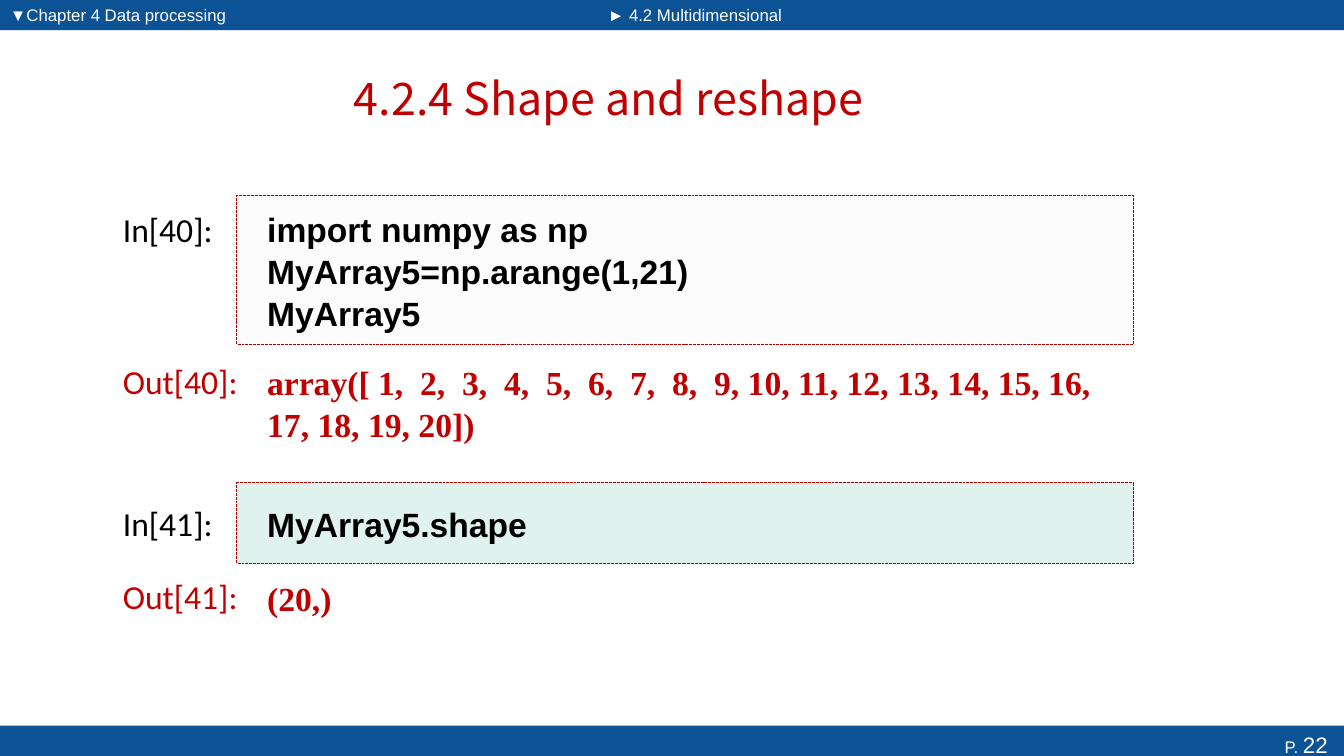
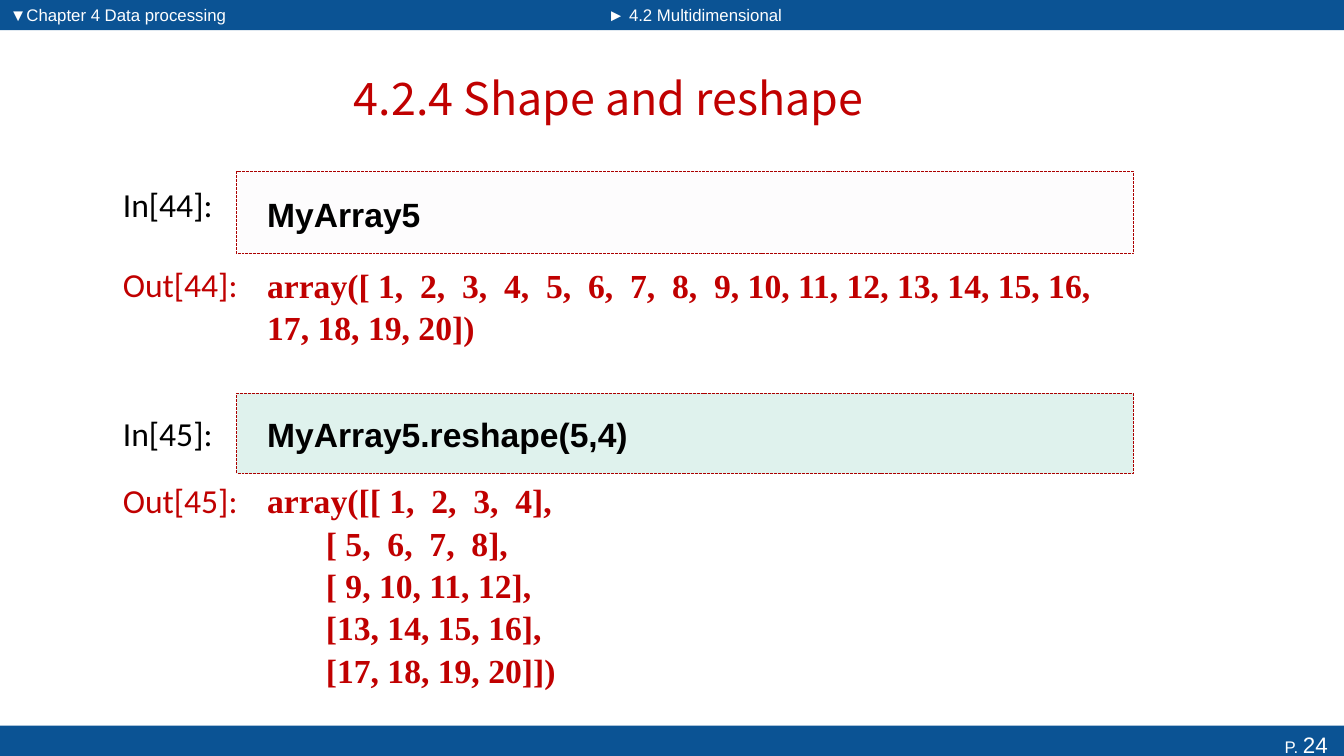
from lxml.etree import SubElement
from pptx import Presentation
from pptx.dml.color import RGBColor
from pptx.enum.dml import MSO_LINE
from pptx.enum.shapes import MSO_SHAPE
from pptx.enum.text import MSO_ANCHOR, PP_ALIGN
from pptx.oxml.ns import qn
from pptx.util import Pt

PX = 9144
WIDE, HIGH = 1333, 750
BLUE, RED, BLACK, WHITE = "0B5394", "C00000", "000000", "FFFFFF"
PALE, MINT, EDGE = "F1EEF4", "0C9B74", "AB0000"

STYLES = {
    "title": ({"name": "Noto Sans CJK SC", "size": Pt(32)}, RED),
    "band": ({"name": "Arial", "size": Pt(12)}, WHITE),
    "page": ({"name": "Arial", "size": Pt(16)}, WHITE),
    "in": ({"name": "Calibri", "size": Pt(24)}, BLACK),
    "out": ({"name": "Calibri", "size": Pt(24)}, RED),
    "code": ({"name": "Arial", "size": Pt(24), "bold": True}, BLACK),
    "result": ({"name": "Times New Roman", "size": Pt(24), "bold": True}, RED),
}
PLAIN = {"word_wrap": False, "vertical_anchor": MSO_ANCHOR.TOP}
MIDDLE = {"word_wrap": True, "vertical_anchor": MSO_ANCHOR.MIDDLE}
INSET = {**MIDDLE, "margin_left": 30 * PX}
RIGHT = {**PLAIN, "margin_right": 16 * PX}


def color(text):
    return RGBColor.from_string(text)


def apply(item, values):
    for name, value in values.items():
        setattr(item, name, value)


def scale(box):
    return [side * PX for side in box]


def style(font, key):
    values, tone = STYLES[key]
    apply(font, values)
    font.color.rgb = color(tone)


def write(shape, lines, frame, align=PP_ALIGN.LEFT, gap=1.0):
    body = shape.text_frame
    apply(body, frame)
    for index, runs in enumerate(lines):
        para = body.add_paragraph() if index else body.paragraphs[0]
        apply(para, {"alignment": align, "line_spacing": gap})
        for text, key in runs:
            run = para.add_run()
            run.text = text
            style(run.font, key)


def label(slide, box, text, key, frame=PLAIN, align=PP_ALIGN.LEFT):
    write(slide.shapes.add_textbox(*scale(box)), [[(text, key)]], frame, align)


def block(slide, box, fill):
    shape = slide.shapes.add_shape(MSO_SHAPE.RECTANGLE, *scale(box))
    shape.shadow.inherit = False
    shape.fill.solid()
    shape.fill.fore_color.rgb = color(fill)
    shape.line.fill.background()
    return shape


def tint(shape, share):
    tone = shape._element.spPr.find(qn("a:solidFill"))[0]
    SubElement(tone, qn("a:alpha"), val=str(share * 1000))


def header(slide, box, parts):
    left, top, width, height = box
    split = left + 593
    spans = (left, split - left), (split, left + width - split)
    for (start, span), text in zip(spans, parts):
        area = start, top, span, height
        block(slide, area, BLUE)
        label(slide, area, text, "band")


def footer(slide, box, page):
    runs = [("P. ", "band"), (str(page), "page")]
    write(block(slide, box, BLUE), [runs], RIGHT, PP_ALIGN.RIGHT)


def source(slide, box, count, lines, fill, drop):
    left, top, width, height = box
    label(slide, (left, top + drop, 135, 50), f"In[{count}]:", "in")
    shape = block(slide, (left + 123, top, width - 123, height), fill)
    tint(shape, 13)
    shape.line.color.rgb = color(EDGE)
    apply(shape.line, {"width": Pt(0.7), "dash_style": MSO_LINE.SQUARE_DOT})
    write(shape, [[(line, "code")] for line in lines], INSET, gap=1.05)


def result(slide, box, count, lines, drop):
    left, top, width, height = box
    label(slide, (left, top + drop, 154, 50), f"Out[{count}]:", "out")
    shape = slide.shapes.add_textbox(*scale((left + 123, top, width - 138, height)))
    write(shape, [[(line, "result")] for line in lines], INSET, gap=1.05)


def build(deck, page, cells):
    slide = deck.slides.add_slide(deck.slide_layouts[6])
    header(slide, (0, 0, WIDE, 30),
           ("▼Chapter 4 Data processing", "► 4.2 Multidimensional"))
    footer(slide, (0, 720, WIDE, HIGH - 720), page)
    label(slide, (68, 52, 1072, 90), "4.2.4 Shape and reshape", "title",
          MIDDLE, PP_ALIGN.CENTER)
    looks = (PALE, 8), (MINT, 15)
    for (count, code, place, answer, spot, drop), (fill, dip) in zip(cells, looks):
        source(slide, (112, place[0], 1012, place[1]), count, code, fill, dip)
        result(slide, (112, spot[0], 1012, spot[1]), count, answer, drop)


FLAT = ["array([ 1,  2,  3,  4,  5,  6,  7,  8,  9, 10, 11, 12, 13, 14, 15, 16, "
        "17, 18, 19, 20])"]
GRID = [
    "array([[ 1,  2,  3,  4],",
    "       [ 5,  6,  7,  8],",
    "       [ 9, 10, 11, 12],",
    "       [13, 14, 15, 16],",
    "       [17, 18, 19, 20]])",
]
FIRST = ["import numpy as np", "MyArray5=np.arange(1,21)", "MyArray5"]
PAGES = {
    22: [
        (40, FIRST, (194, 148), FLAT, (344, 109), 9),
        (41, ["MyArray5.shape"], (479, 80), ["(20,)"], (550, 85), 16),
    ],
    24: [
        (44, ["MyArray5"], (170, 82), FLAT, (247, 111), 10),
        (45, ["MyArray5.reshape(5,4)"], (390, 80), GRID, (453, 253), 18),
    ],
}


def main():
    deck = Presentation()
    apply(deck, {"slide_width": WIDE * PX, "slide_height": HIGH * PX})
    for page, cells in PAGES.items():
        build(deck, page, cells)
    deck.save("out.pptx")


if __name__ == "__main__":
    main()
